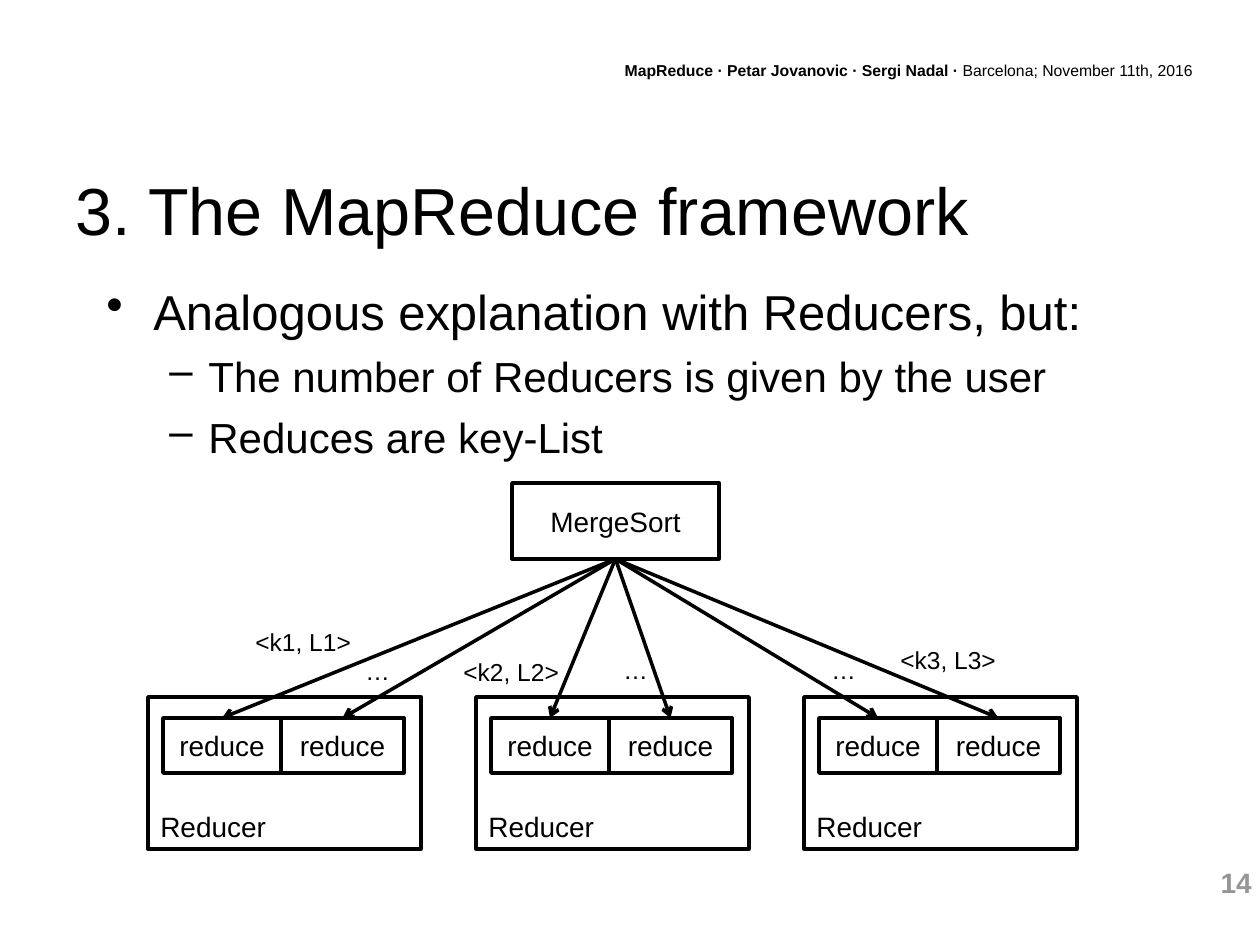
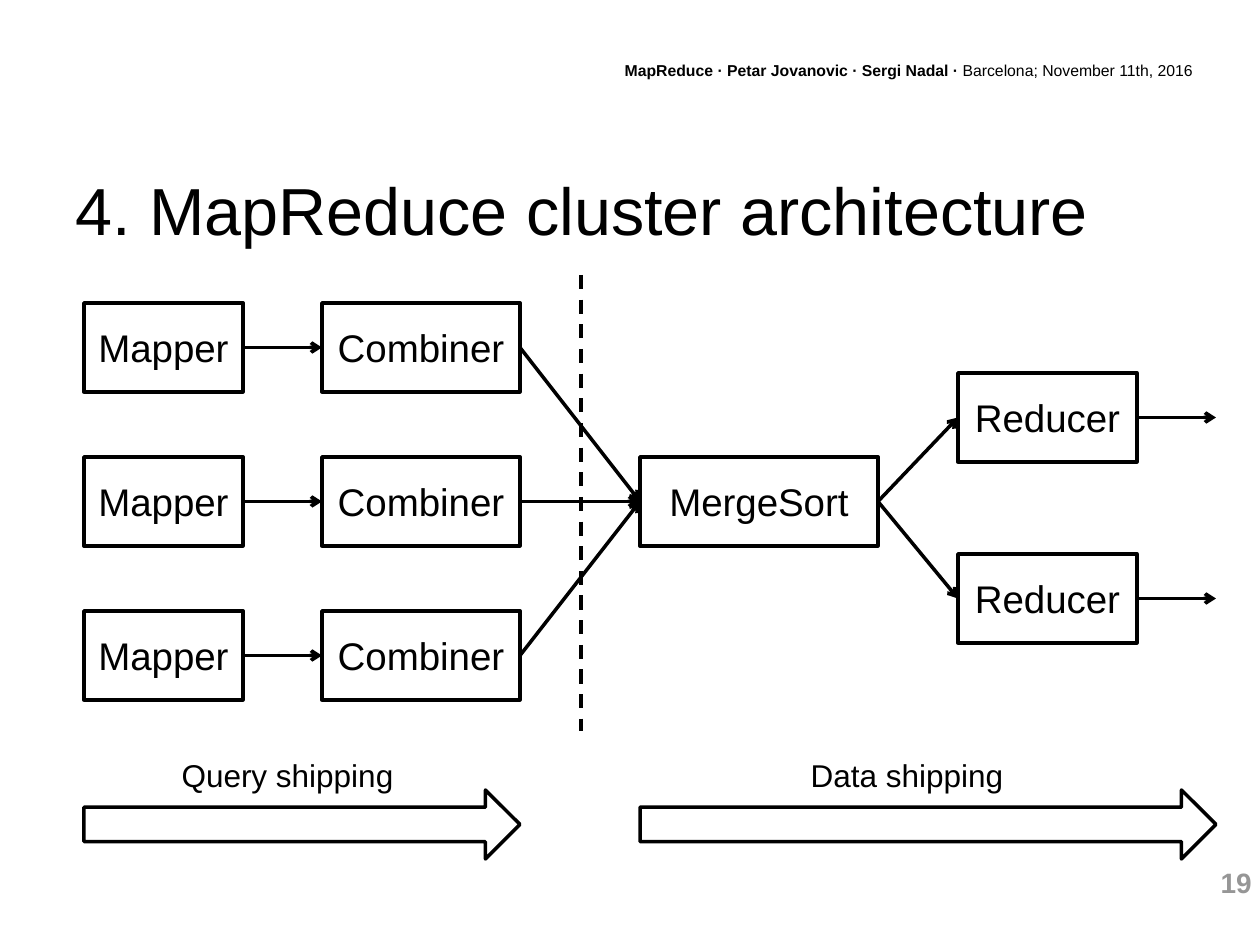
from lxml import etree
from pptx import Presentation
from pptx.dml.color import RGBColor
from pptx.enum.dml import MSO_LINE
from pptx.enum.shapes import MSO_CONNECTOR, MSO_SHAPE
from pptx.enum.text import MSO_ANCHOR, PP_ALIGN
from pptx.oxml.ns import qn
from pptx.util import Pt

SCALE = 914400 / 126
RECT, ARROW = MSO_SHAPE.RECTANGLE, MSO_SHAPE.RIGHT_ARROW
STRAIGHT, DASH = MSO_CONNECTOR.STRAIGHT, MSO_LINE.DASH
LEFT, MID, RIGHT = PP_ALIGN.LEFT, PP_ALIGN.CENTER, PP_ALIGN.RIGHT
TOP, CENTER, BASE = MSO_ANCHOR.TOP, MSO_ANCHOR.MIDDLE, MSO_ANCHOR.BOTTOM
NORTH, WEST, SOUTH, EAST = range(4)

COLORS = {"ink": "000000", "page": "969696"}
FONT = "Arial"
STROKE = 2
HEADER = "MapReduce · Petar Jovanovic · Sergi Nadal · "
PLACE = "Barcelona; November 11th, 2016"
# level: (left margin, hanging indent, space before, size, sign)
LEVELS = [(47, 47, 7, 28, "•"), (102, 39, 6, 24, "–")]


def px(value):
    return round(value * SCALE)


def color(name):
    return RGBColor.from_string(COLORS[name])


def add_run(para, words, size, bold=False, ink="ink"):
    run = para.add_run()
    run.text = words
    form = {"name": FONT, "size": Pt(size), "bold": bold}
    for key, value in form.items():
        setattr(run.font, key, value)
    run.font.color.rgb = color(ink)


def set_frame(shape, anchor=TOP, wrap=True):
    frame = shape.text_frame
    form = {
        "word_wrap": wrap,
        "vertical_anchor": anchor,
        "margin_left": px(12.6),
        "margin_right": px(12.6),
        "margin_top": px(6.3),
        "margin_bottom": px(6.3),
    }
    for key, value in form.items():
        setattr(frame, key, value)
    return frame


def add_text(slide, box, words, size, align=LEFT, anchor=TOP, wrap=True, **look):
    shape = slide.shapes.add_textbox(*map(px, box))
    para = set_frame(shape, anchor, wrap).paragraphs[0]
    para.alignment = align
    add_run(para, words, size, **look)
    return para


def draw(slide, kind, box):
    """Add an unfilled outline shape."""
    shape = slide.shapes.add_shape(kind, *map(px, box))
    shape.shadow.inherit = False
    shape.fill.background()
    shape.line.color.rgb = color("ink")
    shape.line.width = Pt(STROKE)
    return shape


def add_box(slide, box, words, size, align=MID, anchor=CENTER):
    shape = draw(slide, RECT, box)
    para = set_frame(shape, anchor).paragraphs[0]
    para.alignment = align
    add_run(para, words, size)
    return shape


def add_line(slide, start, end, dash=None):
    """Join two ends, each an (x, y) point or a (shape, side) pair."""
    ends = [(0, 0) if hasattr(e[0], "shape_id") else e for e in (start, end)]
    line = slide.shapes.add_connector(STRAIGHT, *(px(v) for e in ends for v in e))
    for spot, join in ((start, line.begin_connect), (end, line.end_connect)):
        if hasattr(spot[0], "shape_id"):
            join(*spot)
    line.line.color.rgb = color("ink")
    line.line.width = Pt(STROKE)
    if dash:
        line.line.dash_style = dash
    props = line._element.spPr
    etree.SubElement(props, qn("a:effectLst"))
    return line


def add_arrow(slide, start, end):
    line = add_line(slide, start, end)
    stroke = line._element.spPr.find(qn("a:ln"))
    etree.SubElement(stroke, qn("a:tailEnd"), type="arrow")


def add_list(slide, box, items):
    frame = set_frame(slide.shapes.add_textbox(*map(px, box)))
    for i, (level, words) in enumerate(items):
        margin, hang, space, size, sign = LEVELS[level]
        para = frame.add_paragraph() if i else frame.paragraphs[0]
        para.level = level
        para.space_before = Pt(space)
        add_run(para, words, size)
        props = para._p.get_or_add_pPr()
        props.set("marL", str(px(margin)))
        props.set("indent", str(-px(hang)))
        etree.SubElement(props, qn("a:buChar"), char=sign)


def add_page(deck, title, page):
    """Add a slide with the shared header, title and page number."""
    slide = deck.slides.add_slide(deck.slide_layouts[6])
    add_text(slide, (1104, 859, 160, 47), str(page), 16, RIGHT,
             wrap=False, bold=True, ink="page")
    head = add_text(slide, (600, 55, 605, 32), HEADER, 9, RIGHT, bold=True)
    add_run(head, PLACE, 9)
    add_text(slide, (63, 155, 1134, 108), title, 38, anchor=CENTER)
    return slide


def add_reducer(slide, x):
    """Draw a reducer and return its two inner boxes."""
    add_box(slide, (x, 697, 273, 152), "Reducer", 16, LEFT, BASE)
    return [add_box(slide, (x + dx, 718, width, 55), "reduce", 16)
            for dx, width in ((15, 118), (133, 123))]


def build_reduce(deck):
    slide = add_page(deck, "3. The MapReduce framework", 14)
    add_list(slide, (94, 275, 1102, 198), [
        (0, "Analogous explanation with Reducers, but:"),
        (1, "The number of Reducers is given by the user"),
        (1, "Reduces are key-List"),
    ])
    merge = add_box(slide, (512, 483, 207, 76), "MergeSort", 16)
    for i in range(3):
        for task in add_reducer(slide, 148 + 328 * i):
            add_arrow(slide, (merge, SOUTH), (task, NORTH))
    pairs = ((243, 621), (451, 651), (888, 639))
    for i, (x, y) in enumerate(pairs, 1):
        add_text(slide, (x, y, 139, 43), f"<k{i}, L{i}>", 14)
    for x, y in ((353, 650), (611, 649), (819, 649)):
        add_text(slide, (x, y, 69, 43), "…", 14)


def build_cluster(deck):
    slide = add_page(deck, "4. MapReduce cluster architecture", 19)
    high, size, edge = 89, 22, 1216
    merge = add_box(slide, (640, 457, 238, high), "MergeSort", size)
    for i in range(3):
        y = 303 + 154 * i
        mapper = add_box(slide, (84, y, 159, high), "Mapper", size)
        comb = add_box(slide, (322, y, 198, high), "Combiner", size)
        add_arrow(slide, (mapper, EAST), (comb, WEST))
        add_arrow(slide, (comb, EAST), (merge, WEST))
    for y in (373, 554):
        reducer = add_box(slide, (958, y, 179, high), "Reducer", size)
        add_arrow(slide, (merge, EAST), (reducer, WEST))
        add_arrow(slide, (reducer, EAST), (edge, y + high / 2))
    add_line(slide, (581, 275), (581, 731), DASH)
    phases = (("Query shipping", 84, 436, 407), ("Data shipping", 640, 576, 534))
    for words, x, width, span in phases:
        draw(slide, ARROW, (x, 790, width, 69))
        add_text(slide, (x, 750, span, 50), words, 18, MID)


def main():
    deck = Presentation()
    deck.slide_width, deck.slide_height = px(1260), px(945)
    build_reduce(deck)
    build_cluster(deck)
    deck.save("out.pptx")


if __name__ == "__main__":
    main()
